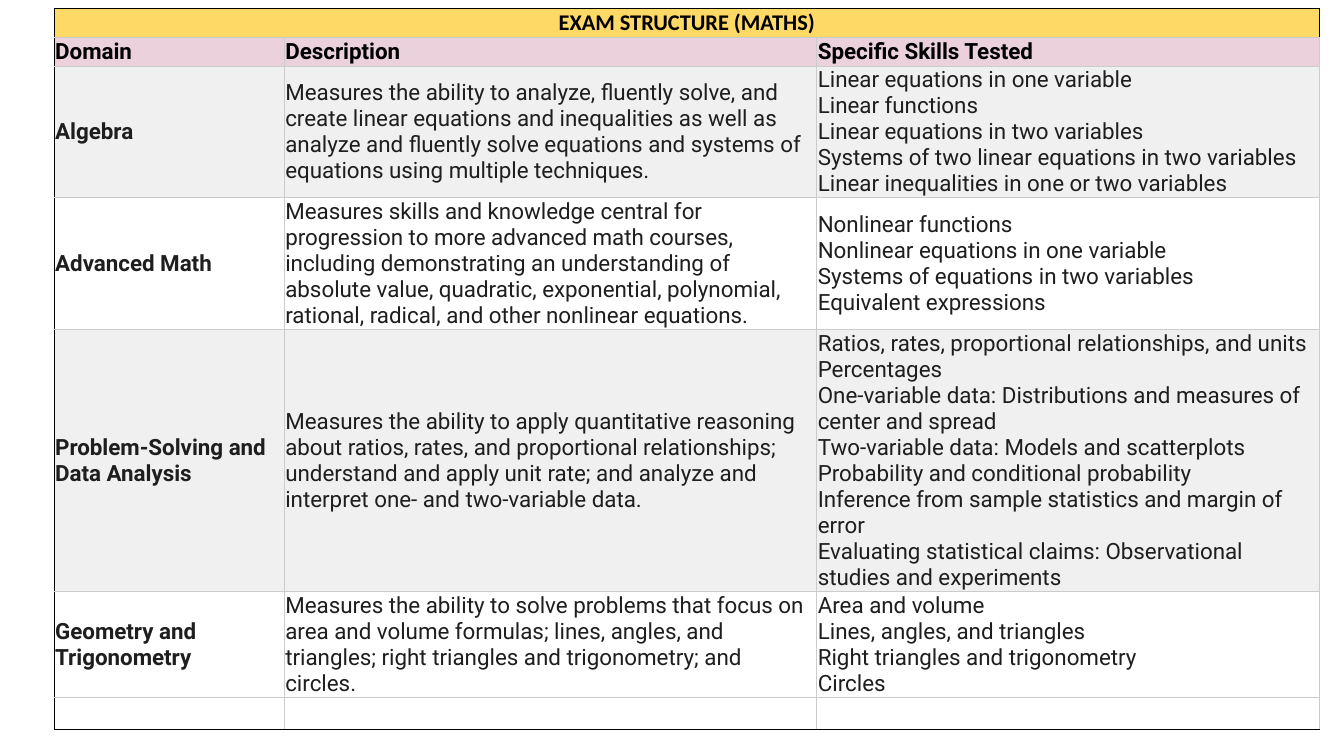
from dataclasses import dataclass

from lxml import etree
from pptx import Presentation
from pptx import util as u
from pptx.dml import color
from pptx.enum import text
from pptx.oxml import ns


@dataclass(frozen=True)
class Theme:
    title_font: str = "Calibri"
    body_font: str = "Roboto"
    size: int = 16
    black: str = "000000"
    ink: str = "1E1E1E"
    gold: str = "FFD966"
    pink: str = "EAD1DC"
    grey: str = "F0F0F0"
    white: str = "FFFFFF"
    grid: str = "CCCCCC"
    line_width: float = 0.6


@dataclass(frozen=True)
class Box:
    left: float
    top: float
    width: float
    height: float


THEME = Theme()
TITLE = "EXAM STRUCTURE (MATHS)"
HEADINGS = ["Domain", "Description", "Specific Skills Tested"]
DOMAINS = [
    (
        "Algebra",
        "Measures the ability to analyze, fluently solve, and create linear equations "
        "and inequalities as well as analyze and fluently solve equations and systems "
        "of equations using multiple techniques.",
        "Linear equations in one variable\n"
        "Linear functions\n"
        "Linear equations in two variables\n"
        "Systems of two linear equations in two variables\n"
        "Linear inequalities in one or two variables",
    ),
    (
        "Advanced Math",
        "Measures skills and knowledge central for progression to more advanced math "
        "courses, including demonstrating an understanding of absolute value, "
        "quadratic, exponential, polynomial, rational, radical, and other nonlinear "
        "equations.",
        "Nonlinear functions\n"
        "Nonlinear equations in one variable\n"
        "Systems of equations in two variables\n"
        "Equivalent expressions",
    ),
    (
        "Problem-Solving and Data Analysis",
        "Measures the ability to apply quantitative reasoning about ratios, rates, and "
        "proportional relationships; understand and apply unit rate; and analyze and "
        "interpret one- and two-variable data.",
        "Ratios, rates, proportional relationships, and units\n"
        "Percentages\n"
        "One-variable data: Distributions and measures of center and spread\n"
        "Two-variable data: Models and scatterplots\n"
        "Probability and conditional probability\n"
        "Inference from sample statistics and margin of error\n"
        "Evaluating statistical claims: Observational studies and experiments",
    ),
    (
        "Geometry and Trigonometry",
        "Measures the ability to solve problems that focus on area and volume formulas; "
        "lines, angles, and triangles; right triangles and trigonometry; and circles.",
        "Area and volume\n"
        "Lines, angles, and triangles\n"
        "Right triangles and trigonometry\n"
        "Circles",
    ),
]
COLUMN_WIDTHS = [5.8, 13.42, 12.68]
ROW_HEIGHTS = [0.71, 0.71, 3.3, 3.3, 6.55, 2.67, 0.79]


def write_text(cell, words, font=THEME.body_font, ink=THEME.ink, bold=False,
               align=text.PP_ALIGN.LEFT):
    para = cell.text_frame.paragraphs[0]
    para.alignment = align
    for index, line in enumerate(words.split("\n")):
        if index:
            para.add_line_break()
        span = para.add_run()
        span.text = line
        span.font.name = font
        span.font.size = u.Pt(THEME.size)
        span.font.bold = bold
        span.font.color.rgb = color.RGBColor.from_string(ink)


def draw_borders(cell, **colours):
    properties = cell._tc.get_or_add_tcPr()
    for side in "LRTB":
        line = etree.SubElement(properties, ns.qn(f"a:ln{side}"),
                                w=str(u.Pt(THEME.line_width)))
        fill = etree.SubElement(line, ns.qn("a:solidFill"))
        etree.SubElement(fill, ns.qn("a:srgbClr"), val=colours.get(side, THEME.grid))


def format_cell(cell, fill=None):
    cell.vertical_anchor = text.MSO_ANCHOR.MIDDLE
    cell.margin_left = cell.margin_right = u.Cm(0.03)
    cell.margin_top = cell.margin_bottom = u.Cm(0.02)
    if fill:
        cell.fill.solid()
        cell.fill.fore_color.rgb = color.RGBColor.from_string(fill)
    else:
        cell.fill.background()


def format_grid(table):
    last_row = len(ROW_HEIGHTS) - 1
    domain_fills = [(THEME.grey, THEME.white)[i % 2] for i in range(len(DOMAINS))]
    fills = [THEME.gold, THEME.pink, *domain_fills, None]
    for row, fill in enumerate(fills):
        for column in range(len(COLUMN_WIDTHS)):
            cell = table.cell(row, column)
            edges = {}
            if column == 0:
                edges["L"] = THEME.black
            if row == 0:
                edges.update(L=THEME.black, T=THEME.black, R=THEME.black)
            if row == last_row:
                edges["B"] = THEME.black
            draw_borders(cell, **edges)
            format_cell(cell, fill)


def add_structure_table(page, box):
    frame = page.shapes.add_table(len(ROW_HEIGHTS), len(COLUMN_WIDTHS), u.Cm(box.left),
                                  u.Cm(box.top), u.Cm(box.width), u.Cm(box.height))
    table = frame.table
    table.first_row = table.horz_banding = False
    for column, width in zip(table.columns, COLUMN_WIDTHS):
        column.width = u.Cm(width)
    for row, height in zip(table.rows, ROW_HEIGHTS):
        row.height = u.Cm(height)
    format_grid(table)

    table.cell(0, 0).merge(table.cell(0, len(COLUMN_WIDTHS) - 1))
    write_text(table.cell(0, 0), TITLE, font=THEME.title_font, ink=THEME.black,
               bold=True, align=text.PP_ALIGN.CENTER)
    for column, heading in enumerate(HEADINGS):
        write_text(table.cell(1, column), heading, ink=THEME.black, bold=True)
    for row, domain in enumerate(DOMAINS, start=2):
        for column, words in enumerate(domain):
            write_text(table.cell(row, column), words, bold=column == 0)


def main():
    deck = Presentation()
    deck.slide_width, deck.slide_height = u.Cm(33.87), u.Cm(19.05)
    page = deck.slides.add_slide(deck.slide_layouts[6])
    add_structure_table(page, Box(1.36, 0.22, sum(COLUMN_WIDTHS), sum(ROW_HEIGHTS)))
    deck.save("out.pptx")


if __name__ == "__main__":
    main()
